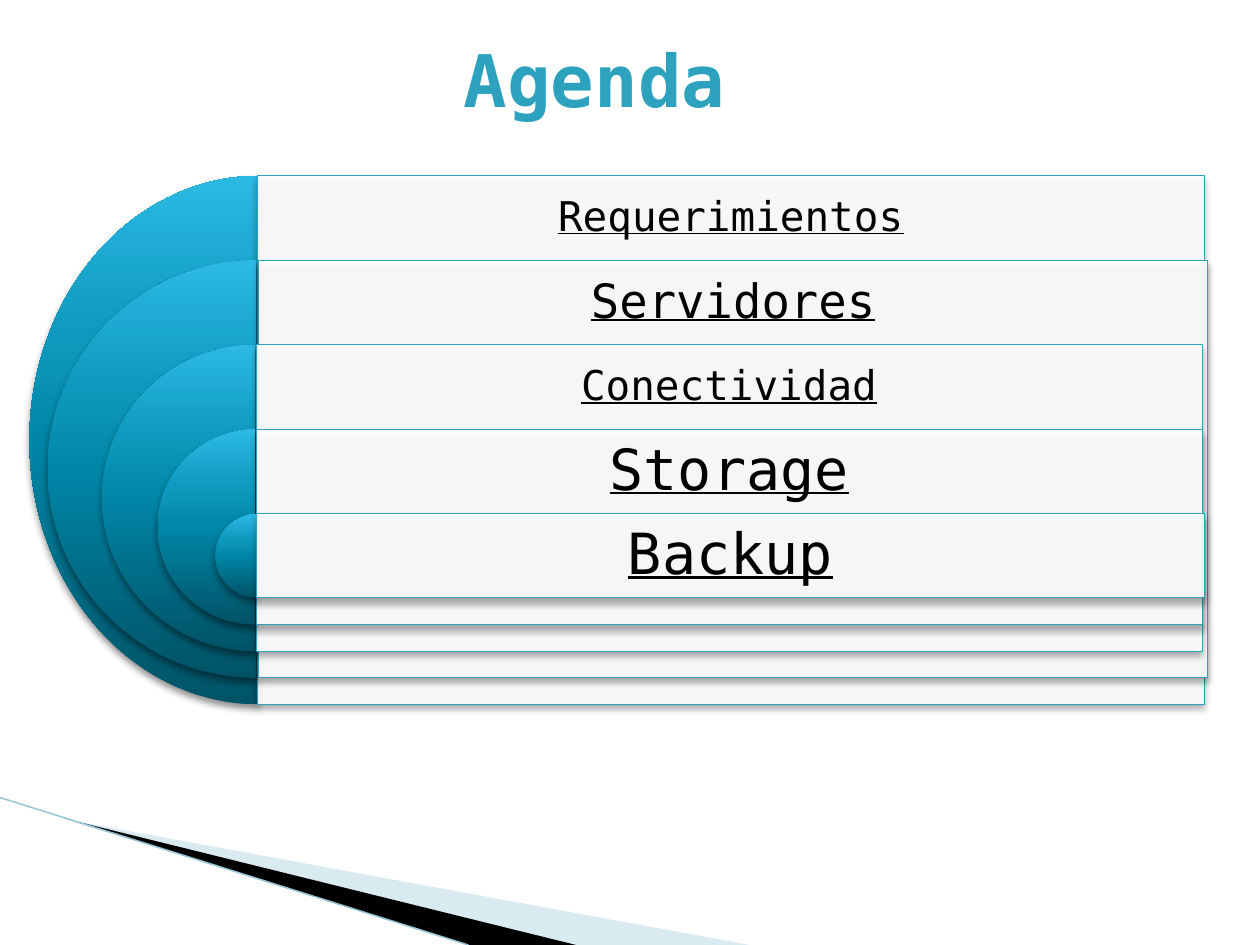
"""Build the Agenda slide: nested half discs beside labelled bands."""
from dataclasses import dataclass

from lxml import etree
from pptx import Presentation
from pptx.dml.color import RGBColor
from pptx.enum.shapes import MSO_CONNECTOR, MSO_SHAPE
from pptx.enum.text import MSO_ANCHOR, MSO_AUTO_SIZE, PP_ALIGN
from pptx.oxml.ns import qn
from pptx.util import Inches, Pt

PIE, RECTANGLE = MSO_SHAPE.PIE, MSO_SHAPE.RECTANGLE
STRAIGHT = MSO_CONNECTOR.STRAIGHT
MIDDLE, NO_AUTOFIT = MSO_ANCHOR.MIDDLE, MSO_AUTO_SIZE.NONE
LEFT, CENTER = PP_ALIGN.LEFT, PP_ALIGN.CENTER

FONT = "DejaVu Sans Mono"
COLORS = {
    "accent": "2DA2BF",
    "text": "000000",
    "band": "FFFFFF",
    "shadow": "000000",
    "pale_wedge": "A0CBDC",
    "dark_wedge": "000000",
    "edge": "97C5D8",
}
DISC_GRADIENT = {0: "005367", 50: "0086A7", 70: "0E9ABE", 100: "2CB9E3"}
FIRST_TOP, ROW_STEP, LABEL_HEIGHT = 1.55, 0.745, 0.75
FIRST_HEIGHT, HEIGHT_STEP = 4.66, 0.98


@dataclass
class Topic:
    """An agenda entry with its band, half disc and text size."""

    text: str
    size: int
    left: float
    width: float
    disc_left: float
    disc_width: float


@dataclass
class Wedge:
    """A triangular decoration at the foot of the slide."""

    points: list[tuple[float, float]]
    color: str
    opacity: int


TOPICS = [
    Topic("Requerimientos", 26, 2.27, 8.35, 0.26, 4.05),
    Topic("Servidores", 30, 2.28, 8.37, 0.42, 3.68),
    Topic("Conectividad", 26, 2.26, 8.34, 0.90, 2.70),
    Topic("Storage", 36, 2.26, 8.34, 1.39, 1.72),
    Topic("Backup", 36, 2.26, 8.36, 1.90, 0.75),
]
WEDGES = [
    Wedge([(0.61, 7.23), (6.61, 8.33), (5.07, 8.33)], "pale_wedge", 40),
    Wedge([(0.59, 7.22), (5.08, 8.33), (4.13, 8.33)], "dark_wedge", 100),
]


def rgb(name: str) -> RGBColor:
    """Return a named colour."""
    return RGBColor.from_string(COLORS[name])


def fill_solid(shape, color: str, opacity: int) -> None:
    """Fill a shape with a colour at an opacity in percent."""
    shape.fill.solid()
    shape.fill.fore_color.rgb = rgb(color)
    color_node = shape._element.spPr.find(f"{qn('a:solidFill')}/{qn('a:srgbClr')}")
    etree.SubElement(color_node, qn("a:alpha"), val=str(opacity * 1000))


def fill_gradient(shape) -> None:
    """Fill a shape with the disc gradient, darkest at the bottom."""
    shape.fill.gradient()
    gradient = shape._element.spPr.find(qn("a:gradFill"))
    for child in list(gradient):
        gradient.remove(child)
    stops = etree.SubElement(gradient, qn("a:gsLst"))
    for position, color in DISC_GRADIENT.items():
        stop = etree.SubElement(stops, qn("a:gs"), pos=str(position * 1000))
        etree.SubElement(stop, qn("a:srgbClr"), val=color)
    etree.SubElement(gradient, qn("a:lin"), ang="16200000", scaled="0")


def add_shadow(shape, blur: int, opacity: int) -> None:
    """Give a shape a soft shadow three points below it."""
    shape.shadow.inherit = False
    effects = shape._element.spPr.find(qn("a:effectLst"))
    shadow = etree.SubElement(
        effects, qn("a:outerShdw"), blurRad=str(Pt(blur)), dist=str(Pt(3)),
        dir="5400000", algn="ctr", rotWithShape="0",
    )
    color = etree.SubElement(shadow, qn("a:srgbClr"), val=COLORS["shadow"])
    etree.SubElement(color, qn("a:alpha"), val=str(opacity * 1000))


def write_text(shape, text: str, *, size: int, color: str, align=CENTER,
               bold: bool = False, underline: bool = False, spacing: float = 1.0,
               inset: tuple[float, float] = (0.11, 0.06)) -> None:
    """Write one formatted paragraph into a shape."""
    frame = shape.text_frame
    frame.word_wrap = True
    frame.auto_size = NO_AUTOFIT
    frame.vertical_anchor = MIDDLE
    frame.margin_left = frame.margin_right = Inches(inset[0])
    frame.margin_top = frame.margin_bottom = Inches(inset[1])
    paragraph = frame.paragraphs[0]
    paragraph.alignment = align
    paragraph.line_spacing = spacing
    run = paragraph.add_run()
    run.text = text
    font = run.font
    font.name, font.size, font.bold, font.underline = FONT, Pt(size), bold, underline
    font.color.rgb = rgb(color)


def add_wedge(slide, wedge: Wedge) -> None:
    """Draw a wedge without outline."""
    points = [(Inches(x), Inches(y)) for x, y in wedge.points]
    builder = slide.shapes.build_freeform(*points[0])
    builder.add_line_segments(points[1:], close=True)
    shape = builder.convert_to_shape()
    fill_solid(shape, wedge.color, wedge.opacity)
    shape.line.fill.background()
    shape.shadow.inherit = False


def add_edge(slide) -> None:
    """Draw the thin line along the wedges."""
    edge = slide.shapes.add_connector(
        STRAIGHT, Inches(0), Inches(7.03), Inches(4.13), Inches(8.33))
    edge.line.color.rgb = rgb("edge")
    edge.line.width = Pt(0.95)
    etree.SubElement(edge._element.spPr, qn("a:effectLst"))


def add_topic(slide, topic: Topic, row: int) -> None:
    """Draw the half disc, band and label of a topic."""
    top = Inches(FIRST_TOP + row * ROW_STEP)
    height = Inches(FIRST_HEIGHT - row * HEIGHT_STEP)
    left, width = Inches(topic.left), Inches(topic.width)

    disc = slide.shapes.add_shape(
        PIE, Inches(topic.disc_left), top, Inches(topic.disc_width), height)
    disc.adjustments[0], disc.adjustments[1] = 54, 162
    fill_gradient(disc)
    disc.line.fill.background()
    add_shadow(disc, 5, 45)

    band = slide.shapes.add_shape(RECTANGLE, left, top, width, height)
    fill_solid(band, "band", 90)
    band.line.color.rgb = rgb("accent")
    band.line.width = Pt(0.75)
    add_shadow(band, 4, 35)

    label = slide.shapes.add_textbox(left, top, width, Inches(LABEL_HEIGHT))
    inset = topic.size / 240
    write_text(label, topic.text, size=topic.size, color="text", underline=True,
               spacing=0.9, inset=(inset, inset))


def main() -> None:
    """Build and save the presentation."""
    presentation = Presentation()
    presentation.slide_width = Inches(11.11)
    presentation.slide_height = Inches(8.33)
    slide = presentation.slides.add_slide(presentation.slide_layouts[5])

    title = slide.shapes.title
    title.left, title.top = Inches(3.98), Inches(0.12)
    title.width, title.height = Inches(3.62), Inches(1.14)
    write_text(title, "Agenda", size=46, color="accent", align=LEFT, bold=True)

    for wedge in WEDGES:
        add_wedge(slide, wedge)
    add_edge(slide)
    for row, topic in enumerate(TOPICS):
        add_topic(slide, topic, row)
    presentation.save("out.pptx")


if __name__ == "__main__":
    main()
